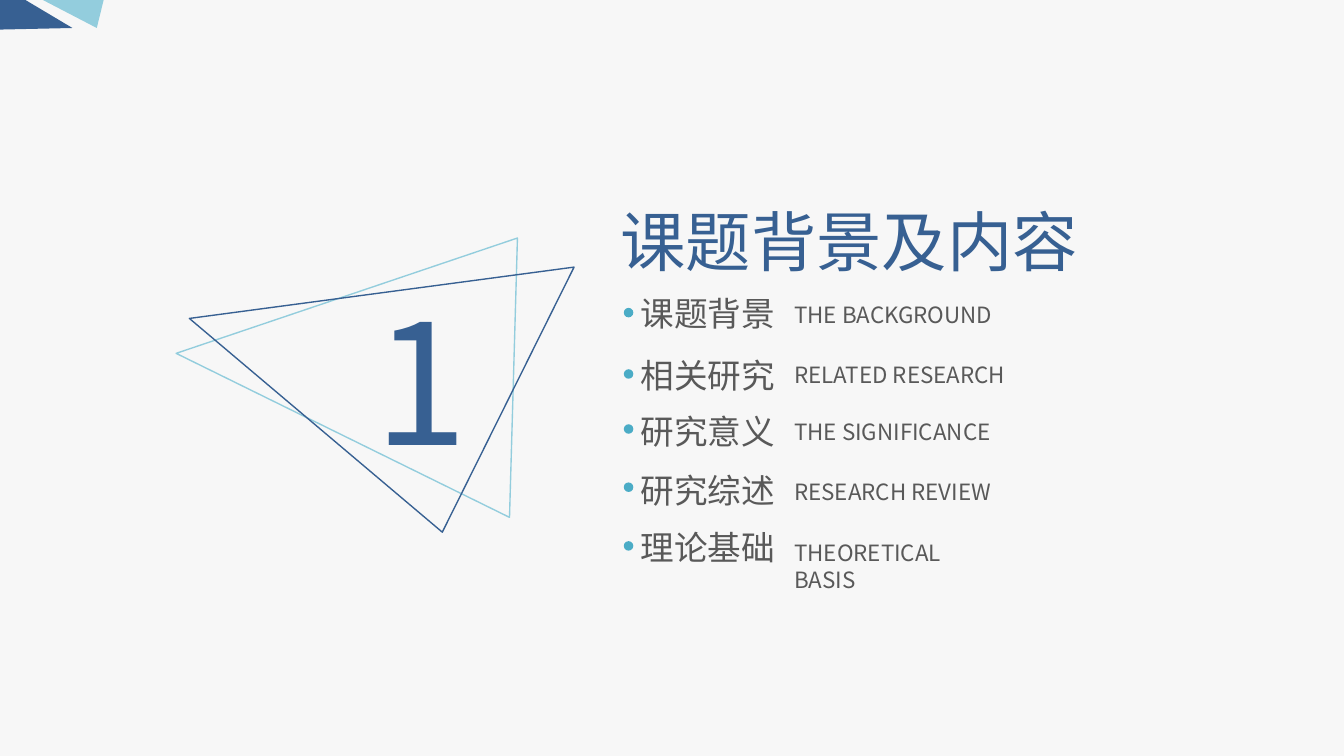
"""Build the section slide for the first chapter."""
from dataclasses import dataclass
from typing import Optional

from lxml.etree import SubElement
from pptx import Presentation
from pptx.dml.color import RGBColor
from pptx.enum.shapes import MSO_SHAPE
from pptx.enum.text import MSO_AUTO_SIZE, PP_ALIGN
from pptx.oxml.ns import qn
from pptx.util import Cm, Pt


@dataclass(frozen=True)
class Theme:
    """Colours, font and type sizes of the slide."""
    paper: str = "F7F7F7"
    navy: str = "376092"
    sky: str = "93CDDD"
    teal: str = "4BACC6"
    gray: str = "595959"
    font: str = "Noto Sans CJK SC"
    title: float = 35
    topic: float = 18
    gloss: float = 12
    number: float = 90
    stroke: float = 0.75


THEME = Theme()


@dataclass(frozen=True)
class Label:
    """A line of text and its box in centimetres."""
    text: str
    left: float
    top: float
    width: float
    height: float
    size: float
    color: str
    align: PP_ALIGN = PP_ALIGN.LEFT


@dataclass(frozen=True)
class Row:
    """A topic with its gloss and the top of each part."""
    topic: str
    gloss: str
    topic_top: float
    gloss_top: float
    dot_top: float


@dataclass(frozen=True)
class Outline:
    """A closed polygon in centimetres."""
    points: tuple
    fill: Optional[str] = None
    line: Optional[str] = None


TITLE = Label("课题背景及内容", 11.43, 3.68, 9.25, 1.75,
              THEME.title, THEME.navy, PP_ALIGN.CENTER)
NUMBER = Label("1", 6.83, 5.13, 2.39, 4.11, THEME.number, THEME.navy)
ROWS = (
    Row("课题背景", "THE BACKGROUND", 5.41, 5.56, 5.82),
    Row("相关研究", "RELATED RESEARCH", 6.58, 6.71, 6.98),
    Row("研究意义", "THE SIGNIFICANCE", 7.65, 7.77, 8.02),
    Row("研究综述", "RESEARCH REVIEW", 8.76, 8.92, 9.12),
    Row("理论基础", "THEORETICAL BASIS", 9.83, 10.06, 10.23),
)
FRAMES = (
    Outline(((9.78, 4.5), (3.33, 6.68), (9.63, 9.78)), line=THEME.sky),
    Outline(((3.58, 6.02), (10.85, 5.05), (8.36, 10.06)), line=THEME.navy),
)
CORNER = (
    Outline(((0.81, 0), (1.83, 0.53), (1.96, 0)), fill=THEME.sky),
    Outline(((1.37, 0.53), (0.48, 0), (0, 0), (0, 0.56)), fill=THEME.navy),
)


def tint(code: str) -> RGBColor:
    """Turn a hex code into a colour."""
    return RGBColor.from_string(code)


def write(shapes, label: Label) -> None:
    """Add a text box holding one run."""
    box = shapes.add_textbox(Cm(label.left), Cm(label.top),
                             Cm(label.width), Cm(label.height))
    frame = box.text_frame
    frame.word_wrap = False
    frame.auto_size = MSO_AUTO_SIZE.SHAPE_TO_FIT_TEXT
    para = frame.paragraphs[0]
    para.alignment = label.align
    run = para.add_run()
    run.text = label.text
    run.font.size = Pt(label.size)
    run.font.name = THEME.font
    run.font.color.rgb = tint(label.color)
    SubElement(run.font._element, qn("a:ea"), typeface=THEME.font)


def paint(shape, fill: Optional[str], line: Optional[str]) -> None:
    """Set the fill and line of a shape and drop its shadow."""
    shape.shadow.inherit = False
    if fill:
        shape.fill.solid()
        shape.fill.fore_color.rgb = tint(fill)
    else:
        shape.fill.background()
    if line:
        shape.line.color.rgb = tint(line)
        shape.line.width = Pt(THEME.stroke)
    else:
        shape.line.fill.background()


def trace(shapes, outline: Outline) -> None:
    """Add a polygon."""
    first, *rest = [(Cm(x), Cm(y)) for x, y in outline.points]
    pen = shapes.build_freeform(*first)
    pen.add_line_segments(rest, close=True)
    paint(pen.convert_to_shape(), outline.fill, outline.line)


def list_row(shapes, row: Row) -> None:
    """Add a dot, a topic and its gloss."""
    write(shapes, Label(row.topic, 11.86, row.topic_top, 3.07, 1.02,
                        THEME.topic, THEME.gray))
    write(shapes, Label(row.gloss, 14.76, row.gloss_top, 4.5, 0.76,
                        THEME.gloss, THEME.gray))
    dot = shapes.add_shape(MSO_SHAPE.OVAL, Cm(11.79), Cm(row.dot_top),
                           Cm(0.18), Cm(0.18))
    paint(dot, THEME.teal, None)


def main() -> None:
    """Build and save the slide."""
    deck = Presentation()
    deck.slide_width, deck.slide_height = Cm(25.4), Cm(14.29)
    slide = deck.slides.add_slide(deck.slide_layouts[6])
    slide.background.fill.solid()
    slide.background.fill.fore_color.rgb = tint(THEME.paper)
    write(slide.shapes, TITLE)
    for row in ROWS:
        list_row(slide.shapes, row)
    badge = slide.shapes.add_group_shape().shapes
    for frame in FRAMES:
        trace(badge, frame)
    write(badge, NUMBER)
    corner = slide.shapes.add_group_shape().shapes
    for shard in CORNER:
        trace(corner, shard)
    deck.save("out.pptx")


if __name__ == "__main__":
    main()
